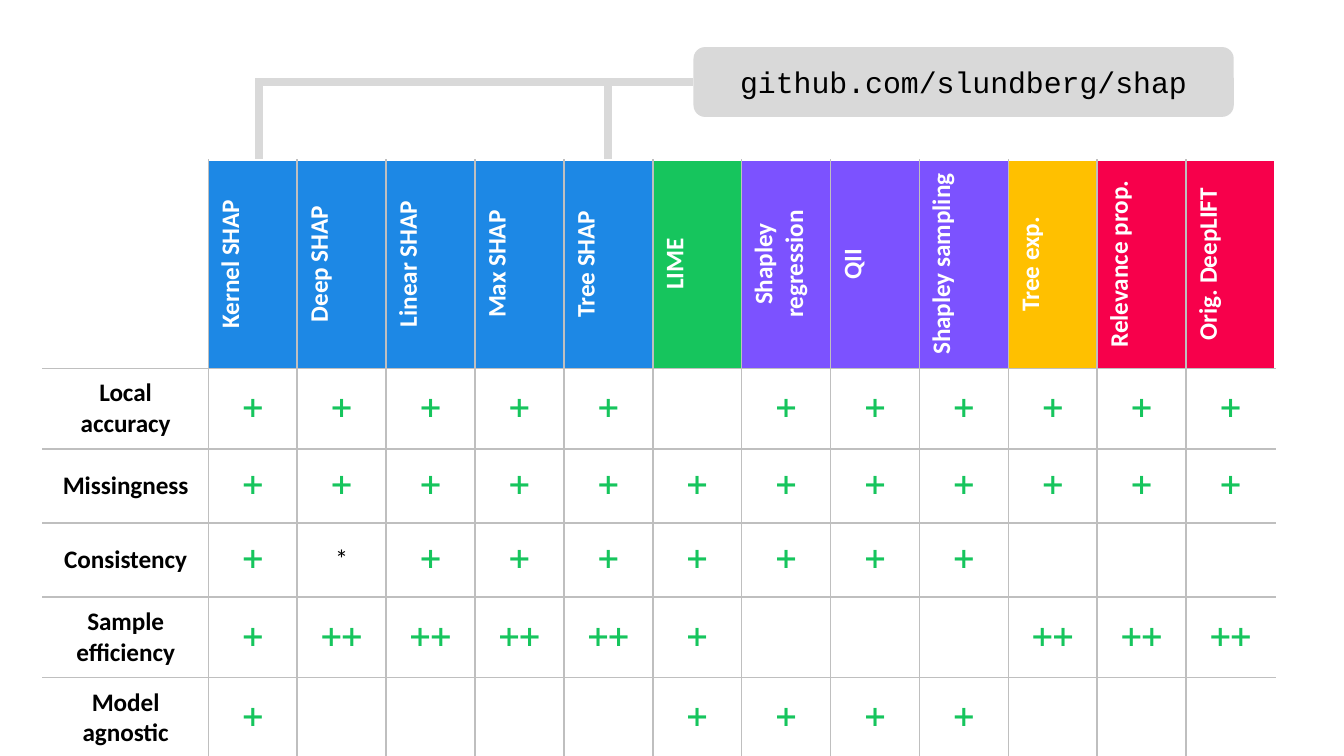
from lxml.etree import SubElement
from pptx import Presentation
from pptx.dml.color import RGBColor
from pptx.enum.shapes import MSO_CONNECTOR, MSO_SHAPE
from pptx.enum.text import MSO_ANCHOR, PP_ALIGN
from pptx.oxml import parse_xml
from pptx.oxml.ns import nsdecls, qn
from pptx.util import Inches, Pt

COLORS = {
    "white": "FFFFFF", "black": "000000", "grid": "BFBFBF", "callout": "D9D9D9",
    "blue": "1D88E5", "green": "16C55D", "purple": "7C52FF",
    "yellow": "FFC000", "red": "F7004B",
}

METHODS = [
    ("Kernel SHAP", "blue"), ("Deep SHAP", "blue"), ("Linear SHAP", "blue"),
    ("Max SHAP", "blue"), ("Tree SHAP", "blue"), ("LIME", "green"),
    ("Shapley regression", "purple"), ("QII", "purple"),
    ("Shapley sampling", "purple"), ("Tree exp.", "yellow"),
    ("Relevance prop.", "red"), ("Orig. DeepLIFT", "red"),
]

# One character per method: "1" and "2" count plus signs, "." is empty.
RATINGS = [
    ("Local accuracy", "11111.111111"),
    ("Missingness", "111111111111"),
    ("Consistency", "1*1111111..."),
    ("Sample efficiency", "122221...222"),
    ("Model agnostic", "1....1111..."),
]
MARKS = {"1": "➕", "2": "➕➕", "*": "*", ".": ""}

SLIDE_WIDTH = 10
SLIDE_HEIGHT = SLIDE_WIDTH * 9 / 16
TABLE_LEFT, TABLE_TOP, TABLE_WIDTH = 0.32, 1.19, 9.17
LABEL_WIDTH = 1.23
METHOD_WIDTH = (TABLE_WIDTH - LABEL_WIDTH) / len(METHODS)
ROW_HEIGHTS = [1.31, 0.6, 0.55, 0.55, 0.6, 0.6]
CALLOUT_LEFT, CALLOUT_TOP, CALLOUT_WIDTH, CALLOUT_HEIGHT = 5.16, 0.35, 4.02, 0.52
LINK_Y = CALLOUT_TOP + CALLOUT_HEIGHT / 2


def rgb(name):
    return RGBColor.from_string(COLORS[name])


def write(frame, text, size, color, bold=False, font="Calibri"):
    paragraph = frame.paragraphs[0]
    paragraph.text = text
    paragraph.alignment = PP_ALIGN.CENTER
    paragraph.font.size = Pt(size)
    paragraph.font.name = font
    paragraph.font.bold = bold
    paragraph.font.color.rgb = rgb(color)


def set_borders(cell, row, column):
    """Draw grid lines inside the table and white lines along its outer edge."""
    outer = {
        "lnL": column == 0,
        "lnR": column == len(METHODS),
        "lnT": row == 0,
        "lnB": row == len(RATINGS),
    }
    properties = cell._tc.get_or_add_tcPr()
    for index, (tag, is_outer) in enumerate(outer.items()):
        color = COLORS["white" if is_outer else "grid"]
        properties.insert(index, parse_xml(
            f'<a:{tag} {nsdecls("a")} w="{Pt(1)}"><a:solidFill>'
            f'<a:srgbClr val="{color}"/></a:solidFill></a:{tag}>'))


def fill_header(cell, name, color):
    cell.fill.solid()
    cell.fill.fore_color.rgb = rgb(color)
    cell._tc.get_or_add_tcPr().set("vert", "vert270")
    write(cell.text_frame, name, 13.5, "white", bold=True)


def fill_rating(cell, code):
    write(cell.text_frame, MARKS[code], 14, "black" if code == "*" else "green")


def add_comparison(page):
    frame = page.shapes.add_table(
        len(ROW_HEIGHTS), len(METHODS) + 1, Inches(TABLE_LEFT), Inches(TABLE_TOP),
        Inches(TABLE_WIDTH), Inches(sum(ROW_HEIGHTS)))
    table = frame.table
    table.first_row = table.horz_banding = False
    for index, column in enumerate(table.columns):
        column.width = Inches(METHOD_WIDTH if index else LABEL_WIDTH)
    for row, height in zip(table.rows, ROW_HEIGHTS):
        row.height = Inches(height)

    for row in range(len(ROW_HEIGHTS)):
        for column in range(len(METHODS) + 1):
            cell = table.cell(row, column)
            cell.vertical_anchor = MSO_ANCHOR.MIDDLE
            cell.fill.background()
            set_borders(cell, row, column)
    for column, (name, color) in enumerate(METHODS, 1):
        fill_header(table.cell(0, column), name, color)
    for row, (label, codes) in enumerate(RATINGS, 1):
        write(table.cell(row, 0).text_frame, label, 13.5, "black", bold=True)
        for column, code in enumerate(codes, 1):
            fill_rating(table.cell(row, column), code)


def add_link(page, start_x, end_x, bend):
    """Rise from the table, then run right; bend is a share of the width."""
    link = page.shapes.add_connector(
        MSO_CONNECTOR.ELBOW, Inches(start_x), Inches(TABLE_TOP),
        Inches(end_x), Inches(LINK_Y))
    link.line.color.rgb = rgb("callout")
    link.line.width = Pt(4)
    properties = link._element.spPr
    SubElement(properties.find(qn("a:ln")), qn("a:miter"), lim="800000")
    guides = properties.find(qn("a:prstGeom")).get_or_add_avLst()
    SubElement(guides, qn("a:gd"), name="adj1", fmla=f"val {round(bend * 100000)}")
    SubElement(properties, qn("a:effectLst"))


def add_callout(page, text):
    box = page.shapes.add_shape(
        MSO_SHAPE.ROUNDED_RECTANGLE, Inches(CALLOUT_LEFT), Inches(CALLOUT_TOP),
        Inches(CALLOUT_WIDTH), Inches(CALLOUT_HEIGHT))
    box.shadow.inherit = False
    box.fill.solid()
    box.fill.fore_color.rgb = rgb("callout")
    box.line.fill.background()
    box.text_frame.word_wrap = True
    box.text_frame.vertical_anchor = MSO_ANCHOR.MIDDLE
    write(box.text_frame, text, 16, "black", font="Courier New")


def main():
    deck = Presentation()
    deck.slide_width, deck.slide_height = Inches(SLIDE_WIDTH), Inches(SLIDE_HEIGHT)
    page = deck.slides.add_slide(deck.slide_layouts[6])
    kernel_x, tree_x = 1.9, 4.51
    add_link(page, tree_x, CALLOUT_LEFT, 0.02)
    add_link(page, kernel_x, tree_x, 0.01)
    add_comparison(page)
    add_callout(page, "github.com/slundberg/shap")
    deck.save("out.pptx")


if __name__ == "__main__":
    main()
